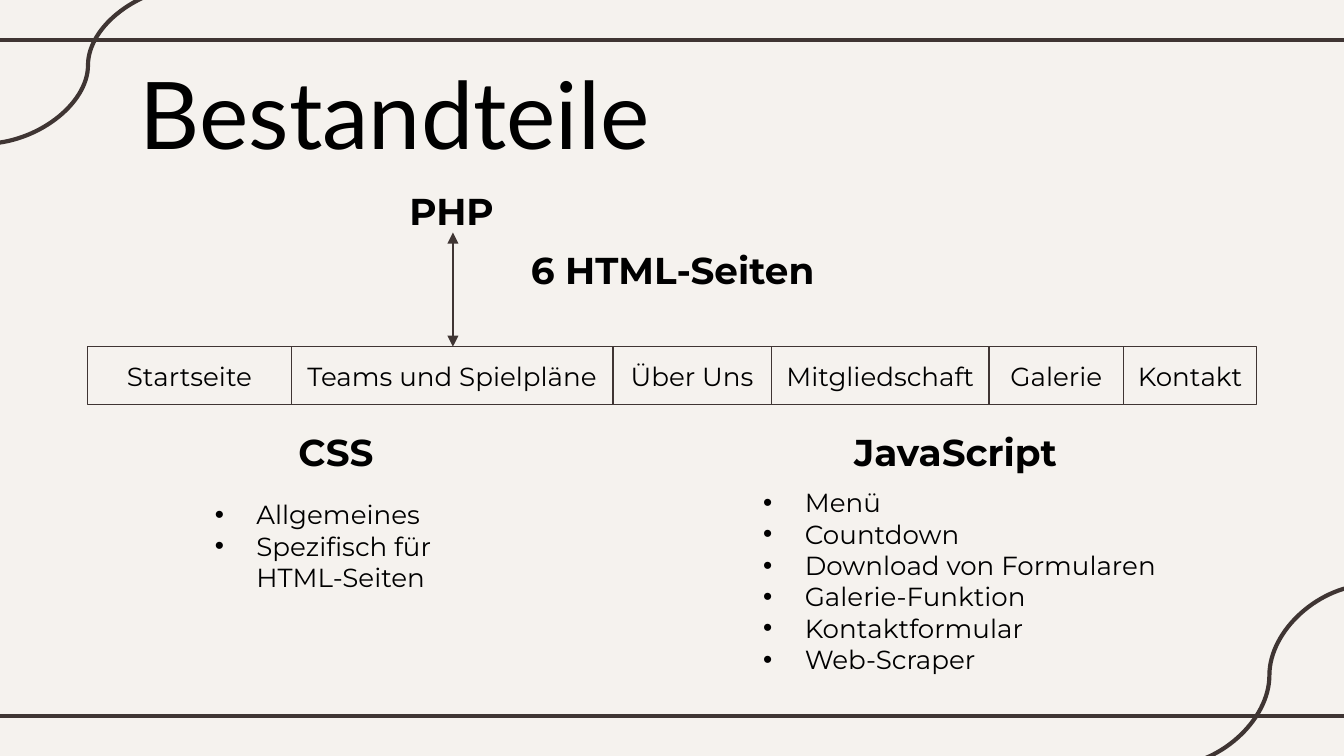
from itertools import accumulate

from lxml import etree
from pptx import Presentation
from pptx.dml.color import RGBColor
from pptx.enum.shapes import MSO_CONNECTOR, MSO_SHAPE
from pptx.enum.text import MSO_ANCHOR, MSO_AUTO_SIZE, PP_ALIGN
from pptx.oxml.ns import qn
from pptx.util import Inches, Pt

W = 10
H = W * 9 / 16
PAPER, INK, BLACK = "F5F2EE", "3F3533", "000000"
BODY, HEAD = 14, 20
ROW_H = 0.43
NAV_LEFT, NAV_TOP = 0.65, 2.58

TITLE = "Bestandteile"
PAGES = [("Startseite", 1.52), ("Teams und Spielpläne", 2.39), ("Über Uns", 1.18),
         ("Mitgliedschaft", 1.62), ("Galerie", 1.0), ("Kontakt", 0.99)]
HEADINGS = [("6 HTML-Seiten", 2.51, 1.74, 4.99),
            ("CSS", 1.26, 3.09, 2.48),
            ("JavaScript", 5.87, 3.09, 2.48)]
LISTS = [
    (["Allgemeines", "Spezifisch für HTML-Seiten"], (1.5, 3.61, 2, 0.97)),
    (["Menü", "Countdown", "Download von Formularen", "Galerie-Funktion",
      "Kontaktformular", "Web-Scraper"], (5.58, 3.52, 3.56, 1.61)),
]
RULES = [0.3, 5.33]
CURVES = [(10.2, 4.35, 8.69, 5.7), (1.43, -0.1, -0.12, 1.07)]


def rgb(value):
    return RGBColor.from_string(value)


def add_line(shapes, ends, width, kind=MSO_CONNECTOR.STRAIGHT, arrows=False):
    line = shapes.add_connector(kind, *map(Inches, ends))
    line.line.color.rgb = rgb(INK)
    line.line.width = Pt(width)
    if arrows:
        ln = line.line._get_or_add_ln()
        for tag in ("a:headEnd", "a:tailEnd"):
            etree.SubElement(ln, qn(tag), type="triangle")
    etree.SubElement(line._element.spPr, qn("a:effectLst"))


def add_bullet(p):
    pPr = p._p.get_or_add_pPr()
    pPr.set("marL", str(Inches(0.31)))
    pPr.set("indent", str(-Inches(0.31)))
    color = etree.SubElement(pPr, qn("a:buClr"))
    etree.SubElement(color, qn("a:srgbClr"), val=BLACK)
    etree.SubElement(pPr, qn("a:buFont"), typeface="Arial")
    etree.SubElement(pPr, qn("a:buChar"), char="•")


def write(sp, lines, size, font="Montserrat", bold=False,
          align=PP_ALIGN.CENTER, bullets=False):
    tf = sp.text_frame
    tf.text = "\n".join(lines)
    tf.word_wrap = True
    tf.auto_size = MSO_AUTO_SIZE.NONE
    tf.vertical_anchor = MSO_ANCHOR.TOP
    tf.margin_left = tf.margin_right = tf.margin_top = tf.margin_bottom = Inches(0.1)
    for p in tf.paragraphs:
        p.alignment = align
        if bullets:
            add_bullet(p)
        for r in p.runs:
            r.font.size, r.font.name, r.font.bold = Pt(size), font, bold
            r.font.color.rgb = rgb(BLACK)


def add_text(shapes, lines, box, size, **style):
    write(shapes.add_textbox(*map(Inches, box)), lines, size, **style)


def add_page(shapes, name, left, width):
    sp = shapes.add_shape(MSO_SHAPE.RECTANGLE,
                          *map(Inches, (left, NAV_TOP, width, ROW_H)))
    sp.shadow.inherit = False
    sp.fill.background()
    sp.line.color.rgb = rgb(INK)
    sp.line.width = Pt(0.75)
    write(sp, [name], BODY)


prs = Presentation()
prs.slide_width, prs.slide_height = Inches(W), Inches(H)
s = prs.slides.add_slide(prs.slide_layouts[5])
s.background.fill.solid()
s.background.fill.fore_color.rgb = rgb(PAPER)

for y in RULES:
    add_line(s.shapes, (-0.08, y, W + 0.08, y), 2.25)
for ends in CURVES:
    add_line(s.shapes, ends, 2.25, MSO_CONNECTOR.CURVE)

title = s.shapes.title
title.left, title.top, title.width, title.height = map(Inches, (0.94, 0.32, 4.06, 0.9))
write(title, [TITLE], 50, font="Lato", align=PP_ALIGN.LEFT)

lefts = accumulate((width for _, width in PAGES), initial=NAV_LEFT)
for (name, width), left in zip(PAGES, lefts):
    add_page(s.shapes, name, left, width)

for text, left, top, width in HEADINGS:
    add_text(s.shapes, [text], (left, top, width, ROW_H), HEAD, bold=True)

php = s.shapes.add_group_shape().shapes
add_text(php, ["PHP"], (2.12, 1.3, 2.48, ROW_H), HEAD, bold=True)
add_line(php, (3.37, 1.73, 3.37, NAV_TOP), 0.75, arrows=True)

for items, box in LISTS:
    add_text(s.shapes, items, box, BODY, align=PP_ALIGN.LEFT, bullets=True)

prs.save("out.pptx")
